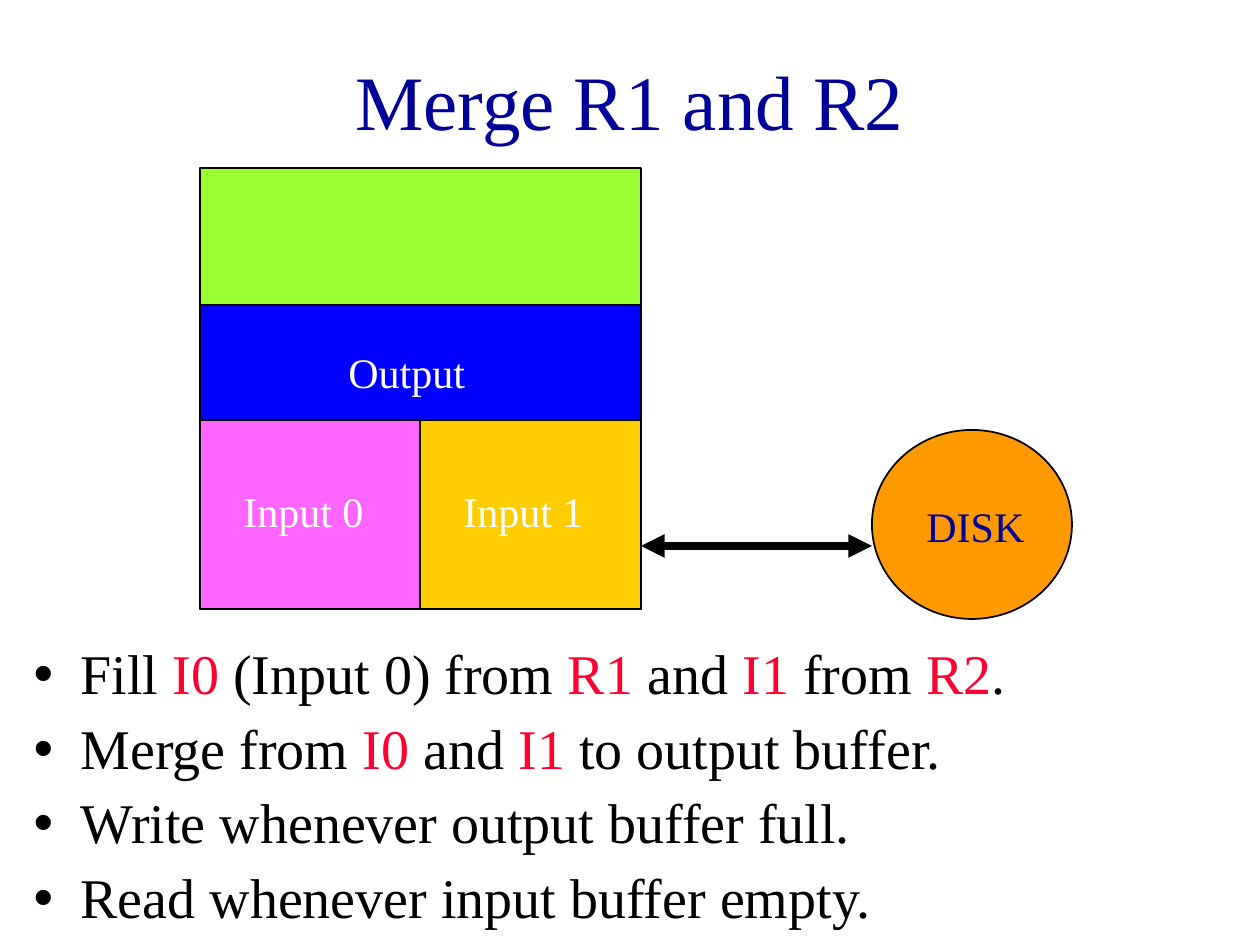
from dataclasses import dataclass

from lxml.etree import SubElement
from pptx import Presentation
from pptx.dml.color import RGBColor
from pptx.enum.shapes import MSO_CONNECTOR, MSO_SHAPE
from pptx.enum.text import MSO_ANCHOR, MSO_AUTO_SIZE, PP_ALIGN
from pptx.oxml.ns import qn
from pptx.util import Emu, Pt

PX_PER_INCH = 126
FONT = "Times New Roman"
BLACK = RGBColor(0x00, 0x00, 0x00)
WHITE = RGBColor(0xFF, 0xFF, 0xFF)
NAVY = RGBColor(0x00, 0x00, 0x99)
RED = RGBColor(0xFF, 0x00, 0x33)
GREEN = RGBColor(0x99, 0xFF, 0x33)
ORANGE = RGBColor(0xFF, 0x99, 0x00)
PINK = RGBColor(0xFF, 0x66, 0xFF)
GOLD = RGBColor(0xFF, 0xCC, 0x00)
BLUE = RGBColor(0x00, 0x00, 0xFF)

MEMORY_LEFT, MEMORY_TOP, MEMORY_SIZE = 200, 168, 441
MEMORY_RIGHT = MEMORY_LEFT + MEMORY_SIZE
INPUT_TOP, INPUT_WIDTH, INPUT_HEIGHT = 420, 220, 189
OUTPUT_TOP = 305
DISK_LEFT = 872
ARROW_Y = 546


@dataclass(frozen=True)
class Region:
    """A filled, outlined part of the diagram, in pixels."""
    box: tuple[int, int, int, int]
    fill: RGBColor
    outline: MSO_SHAPE = MSO_SHAPE.RECTANGLE


@dataclass(frozen=True)
class Label:
    """A caption on a region, in pixels."""
    text: str
    box: tuple[int, int, int, int]
    color: RGBColor = WHITE
    fill: RGBColor | None = None


DIAGRAM = [
    Region((MEMORY_LEFT, MEMORY_TOP, MEMORY_SIZE, MEMORY_SIZE), GREEN),
    Region((DISK_LEFT, 430, 200, 189), ORANGE, MSO_SHAPE.OVAL),
    Label("DISK", (914, 494, 168, 63), NAVY),
    Region((MEMORY_LEFT, INPUT_TOP, INPUT_WIDTH, INPUT_HEIGHT), PINK),
    Label("Input 0", (231, 479, 189, 63)),
    Region((MEMORY_LEFT + INPUT_WIDTH, INPUT_TOP, INPUT_WIDTH + 1, INPUT_HEIGHT), GOLD),
    Label("Input 1", (451, 479, 189, 63), fill=GOLD),
    Region((MEMORY_LEFT, OUTPUT_TOP, MEMORY_SIZE, INPUT_TOP - OUTPUT_TOP), BLUE),
    Label("Output", (336, 340, 189, 63)),
]

# Each step alternates plain and highlighted wording.
STEPS = [
    ["Fill ", "I0", " (Input 0) from ", "R1", " and ", "I1", " from ", "R2", "."],
    ["Merge from ", "I0 ", "and ", "I1", " to output buffer."],
    ["Write whenever output buffer full."],
    ["Read whenever input buffer empty."],
]


def px(pixels: float) -> Emu:
    """Turn pixels into EMU."""
    return Emu(round(pixels * 914400 / PX_PER_INCH))


def write(paragraph, text: str, *, size: int, color: RGBColor) -> None:
    """Append one formatted run to a paragraph."""
    run = paragraph.add_run()
    run.text = text
    run.font.name = FONT
    run.font.size = Pt(size)
    run.font.color.rgb = color


def place(holder, left: int, top: int, width: int, height: int) -> None:
    """Move and size a placeholder."""
    holder.left, holder.top = px(left), px(top)
    holder.width, holder.height = px(width), px(height)
    holder.text_frame.auto_size = MSO_AUTO_SIZE.NONE


def draw_region(slide, region: Region) -> None:
    """Draw a filled region with a thin black outline."""
    shape = slide.shapes.add_shape(region.outline, *map(px, region.box))
    shape.shadow.inherit = False
    shape.fill.solid()
    shape.fill.fore_color.rgb = region.fill
    shape.line.color.rgb = BLACK
    shape.line.width = Pt(1)


def draw_label(slide, label: Label) -> None:
    """Draw a caption, with a fill if it has one."""
    caption = slide.shapes.add_textbox(*map(px, label.box))
    if label.fill is not None:
        caption.fill.solid()
        caption.fill.fore_color.rgb = label.fill
    frame = caption.text_frame
    frame.word_wrap = True
    frame.auto_size = MSO_AUTO_SIZE.SHAPE_TO_FIT_TEXT
    frame.paragraphs[0].space_before = Pt(15)
    write(frame.paragraphs[0], label.text, size=24, color=label.color)


def draw_transfer_arrow(slide) -> None:
    """Link memory and disk with a double-headed arrow."""
    arrow = slide.shapes.add_connector(
        MSO_CONNECTOR.STRAIGHT, px(MEMORY_RIGHT), px(ARROW_Y), px(DISK_LEFT), px(ARROW_Y))
    arrow.line.color.rgb = BLACK
    arrow.line.width = Pt(4.5)
    line = arrow.line._get_or_add_ln()
    for end in ("a:headEnd", "a:tailEnd"):
        SubElement(line, qn(end), type="triangle")
    SubElement(arrow._element.spPr, qn("a:effectLst"))


def fill_title(title) -> None:
    """Write the slide title."""
    place(title, 94, 21, 1071, 158)
    title.text_frame.vertical_anchor = MSO_ANCHOR.MIDDLE
    heading = title.text_frame.paragraphs[0]
    heading.alignment = PP_ALIGN.CENTER
    write(heading, "Merge R1 and R2", size=44, color=NAVY)


def fill_steps(body) -> None:
    """Write the bulleted steps of the merge."""
    place(body, 21, 640, 1124, 305)
    frame = body.text_frame
    for number, step in enumerate(STEPS):
        paragraph = frame.add_paragraph() if number else frame.paragraphs[0]
        paragraph.line_spacing = 0.9
        paragraph.space_before = Pt(8)
        properties = paragraph._p.get_or_add_pPr()
        properties.set("marL", str(px(47)))
        properties.set("indent", str(-px(47)))
        for part, text in enumerate(step):
            write(paragraph, text, size=32, color=RED if part % 2 else BLACK)


def main() -> None:
    """Build and save the slide."""
    deck = Presentation()
    deck.slide_width, deck.slide_height = px(1260), px(945)
    slide = deck.slides.add_slide(deck.slide_layouts[1])
    fill_title(slide.shapes.title)
    fill_steps(slide.placeholders[1])
    for part in DIAGRAM:
        if isinstance(part, Region):
            draw_region(slide, part)
        else:
            draw_label(slide, part)
    draw_transfer_arrow(slide)
    deck.save("out.pptx")


main()
